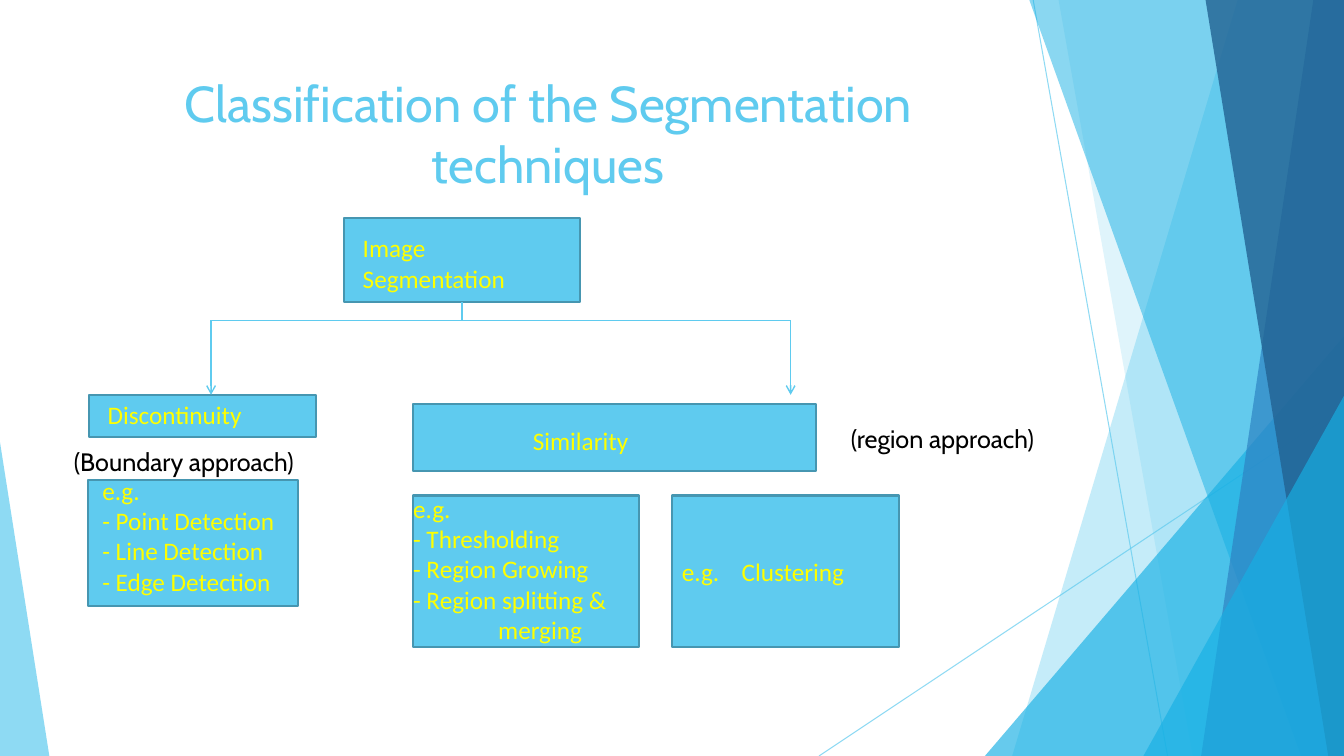
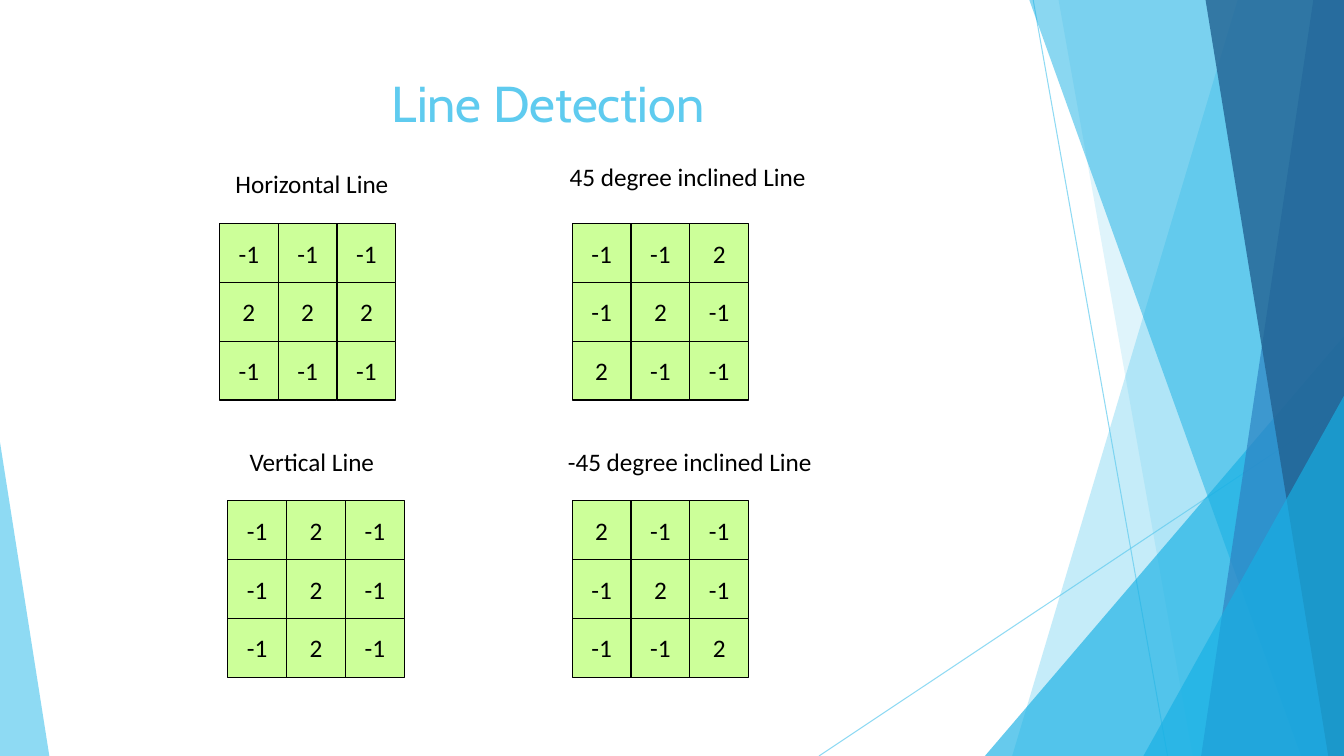
from lxml.etree import SubElement
from pptx import Presentation
from pptx.dml.color import RGBColor
from pptx.enum.shapes import MSO_CONNECTOR, MSO_SHAPE
from pptx.enum.text import MSO_ANCHOR, MSO_AUTO_SIZE, PP_ALIGN
from pptx.oxml.ns import qn
from pptx.util import Pt

PX = 9525
WIDE, HIGH = 1280, 720
SKY, AZURE, BLUE, NAVY = "5FCBEF", "17B0E4", "2E83C3", "226292"
STEEL, YELLOW, LIME, BLACK = "4696B1", "FFFF00", "CCFF99", "000000"
color = RGBColor.from_string


def link(shapes, ends, width, arrow=False):
    line = shapes.add_connector(MSO_CONNECTOR.STRAIGHT, *(v * PX for v in ends))
    line.line.color.rgb = color(SKY)
    line.line.width = Pt(width)
    if arrow:
        SubElement(line.line._get_or_add_ln(), qn("a:tailEnd"), type="arrow")
    SubElement(line.element.spPr, qn("a:effectLst"))
    return line


def box(shapes, area, text="", ink=BLACK, font="Calibri", align=PP_ALIGN.LEFT,
        fill=None, edge=STEEL, width=1.5, wrap=True, tab=0):
    """Add a filled rectangle, or a plain text box when there is no fill."""
    area = [v * PX for v in area]
    if fill:
        shape = shapes.add_shape(MSO_SHAPE.RECTANGLE, *area)
        shape.shadow.inherit = False
        shape.fill.solid()
        shape.fill.fore_color.rgb = color(fill)
        shape.line.color.rgb = color(edge)
        shape.line.width = Pt(width)
    else:
        shape = shapes.add_textbox(*area)
        shape.text_frame.auto_size = MSO_AUTO_SIZE.SHAPE_TO_FIT_TEXT
    frame = shape.text_frame
    frame.word_wrap = wrap
    frame.text = text
    for par in frame.paragraphs:
        par.alignment = align
        if tab:
            stops = SubElement(par._p.get_or_add_pPr(), qn("a:tabLst"))
            SubElement(stops, qn("a:tab"), pos=str(tab * PX), algn="l")
        par.font.name = font
        par.font.size = Pt(18)
        par.font.color.rgb = color(ink)
    return shape


deck = Presentation()
deck.slide_width, deck.slide_height = WIDE * PX, HIGH * PX
layout = deck.slide_layouts[5]
tree, lines = [deck.slides.add_slide(layout) for _ in range(2)]

titles = ["Classification of the Segmentation techniques", "Line Detection"]
for slide, text in zip((tree, lines), titles):
    title = slide.shapes.title
    title.left, title.top, title.width, title.height = (
        v * PX for v in (71, 64, 902, 138))
    frame = title.text_frame
    frame.text = text
    frame.auto_size = MSO_AUTO_SIZE.NONE
    frame.vertical_anchor = MSO_ANCHOR.TOP
    par = frame.paragraphs[0]
    par.alignment = PP_ALIGN.CENTER
    par.font.name = "Cabin"
    par.font.size = Pt(36)
    par.font.color.rgb = color(SKY)

# Shared backdrop: drawn once, then moved to the layout behind its title.
decor = [(link(tree.shapes, ends, 0.75), 70)
         for ends in ((984, 0, 1112, HIGH), (WIDE, 387, 780, HIGH))]
# Two numbers: top and bottom x of a band that runs to the right edge.
# Four numbers: left, top, width and height of a corner triangle.
bands = [
    (SKY, 36, (1179, 964)),
    (SKY, 20, (1008, 1136)),
    (AZURE, 66, (938, 320, 342, 400)),
    (AZURE, 50, (980, 1239)),
    (BLUE, 70, (1251, 1144)),
    (NAVY, 80, (1148, 1265)),
    (AZURE, 66, (1089, 377, 191, 343)),
    (SKY, 70, (0, 421, 47, 299)),
]
for fill, alpha, spot in bands:
    if len(spot) == 2:
        top, foot = spot
        path = tree.shapes.build_freeform(top, -1, scale=PX)
        path.add_line_segments([(WIDE, -1), (WIDE, HIGH), (foot, HIGH)])
        band = path.convert_to_shape()
    else:
        band = tree.shapes.add_shape(MSO_SHAPE.ISOSCELES_TRIANGLE,
                                     *(v * PX for v in spot))
        band.adjustments[0] = 1 if spot[0] else 0
    band.shadow.inherit = False
    band.fill.solid()
    band.fill.fore_color.rgb = color(fill)
    band.line.fill.background()
    decor.append((band, alpha))
for n, (shape, alpha) in enumerate(decor):
    tint = shape.element.spPr.xpath(".//a:srgbClr")[0]
    SubElement(tint, qn("a:alpha"), val=str(alpha * 1000))
    shape.element.xpath(".//p:cNvPr")[0].set("id", str(100 + n))
    layout.shapes.element.insert(2 + n, shape.element)

# Classification tree
root = box(tree.shapes, (328, 208, 224, 80), fill=SKY)
for area in [(85, 376, 216, 40), (393, 385, 384, 64),
             (84, 457, 200, 120), (393, 472, 216, 144)]:
    box(tree.shapes, area, fill=SKY)
box(tree.shapes, (640, 472, 216, 144), "e.g.\tClustering", YELLOW,
    fill=SKY, tab=57)

stem = link(tree.shapes, (440, 288, 440, 305), 1)
stem.begin_connect(root, 2)
link(tree.shapes, (201, 305, 753, 305), 1)
for x in (201, 753):
    link(tree.shapes, (x, 305, x, 376), 1, arrow=True)

labels = [
    ((336, 217, 216, 68), "Image Segmentation"),
    ((93, 376, 216, 38), "Discontinuity"),
    ((417, 400, 392, 38), "\tSimilarity"),
    ((88, 448, 224, 126),
     "e.g.\n- Point Detection\n- Line Detection\n- Edge Detection"),
    ((384, 465, 224, 184),
     "e.g.\n- Thresholding\n- Region Growing\n- Region splitting &\n\tmerging"),
]
for area, text in labels:
    box(tree.shapes, area, text, YELLOW, tab=81 if "\t" in text else 0)
box(tree.shapes, (801, 398, 247, 38), "(region approach)", font="Cabin")
box(tree.shapes, (61, 420, 251, 38), "(Boundary approach)", font="Cabin")

# Line masks
CELL = 56
masks = [
    ("Horizontal Line", (185, 156, 224, 40), (209, 213),
     [(-1, -1, -1), (2, 2, 2), (-1, -1, -1)]),
    ("45 degree inclined Line", (501, 149, 308, 38), (545, 213),
     [(-1, -1, 2), (-1, 2, -1), (2, -1, -1)]),
    ("Vertical Line", (185, 420, 224, 40), (217, 477), [(-1, 2, -1)] * 3),
    ("-45 degree inclined Line", (505, 420, 304, 38), (545, 477),
     [(2, -1, -1), (-1, 2, -1), (-1, -1, 2)]),
]
for name, area, (left, top), rows in masks:
    box(lines.shapes, area, name, align=PP_ALIGN.CENTER)
    grid = lines.shapes.add_group_shape()
    for r, row in enumerate(rows):
        for c, value in enumerate(row):
            box(grid.shapes, (left + c * CELL, top + r * CELL, CELL, CELL),
                str(value), align=PP_ALIGN.CENTER, fill=LIME, edge=BLACK,
                width=0.75, wrap=False)

deck.save("out.pptx")
